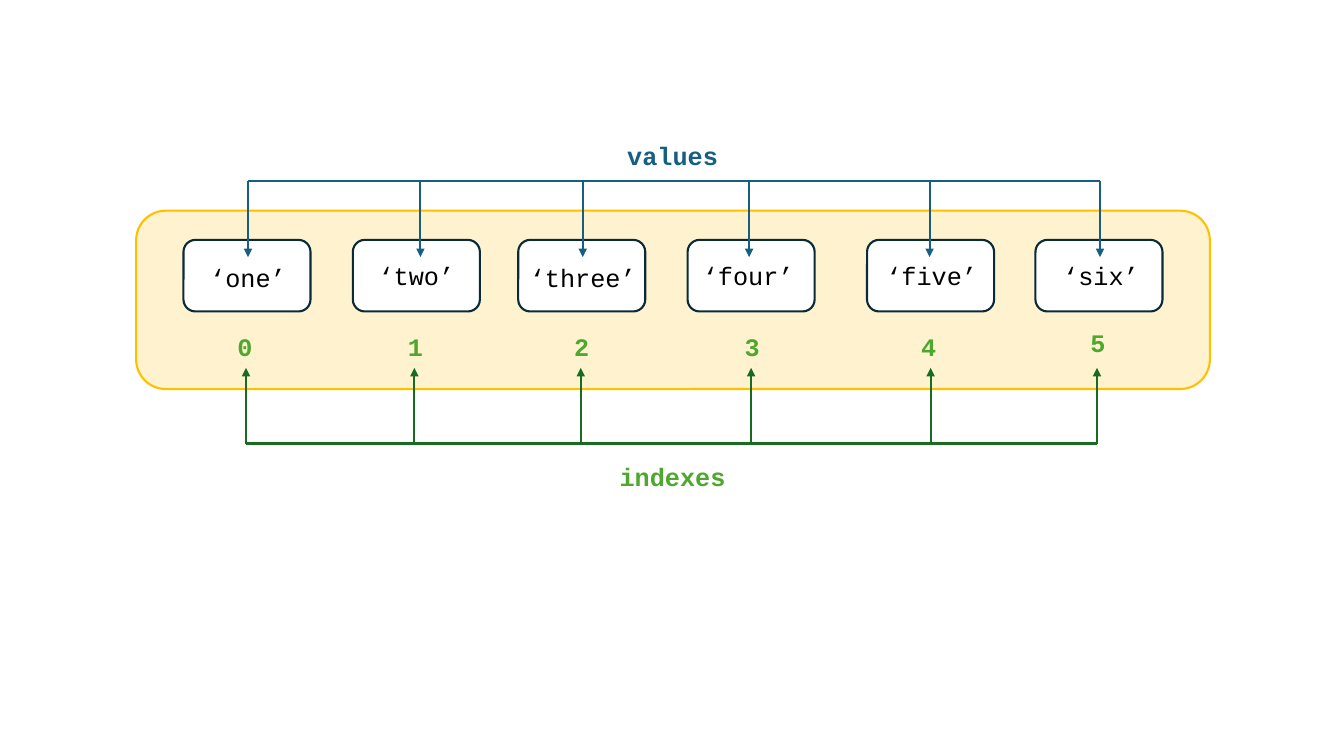
from dataclasses import dataclass

from lxml import etree
from pptx import Presentation
from pptx.dml.color import RGBColor
from pptx.enum import shapes, text
from pptx.oxml import ns
from pptx.slide import Slide
from pptx.util import Inches, Pt

COLORS = {
    "list_fill": "FFF2CE",
    "list_line": "FFC000",
    "item_fill": "FFFFFF",
    "item_line": "092A39",
    "item_text": "000000",
    "values": "156082",
    "indexes": "4EA72E",
    "index_line": "196B24",
}
FONT = "Courier New"
LABEL_WIDTH, LABEL_HEIGHT = 1.28, 0.4
ITEM_TOP, ITEM_WIDTH, ITEM_HEIGHT = 2.38, 1.26, 0.71
VALUE_BAR, VALUE_TIP = 1.8, 2.55
INDEX_BAR, INDEX_TIP = 4.4, 3.65
CAPTION_LEFT = 6.03


@dataclass(frozen=True)
class Item:
    value: str
    box_left: float
    value_left: float
    value_top: float
    value_arrow: float
    index_left: float
    index_top: float
    index_arrow: float


ITEMS = [
    Item("‘one’", 1.82, 1.82, 2.55, 2.46, 1.79, 3.24, 2.44),
    Item("‘two’", 3.5, 3.49, 2.53, 4.17, 3.48, 3.24, 4.11),
    Item("‘three’", 5.14, 5.14, 2.55, 5.78, 5.13, 3.24, 5.76),
    Item("‘four’", 6.82, 6.78, 2.53, 7.43, 6.82, 3.24, 7.45),
    Item("‘five’", 8.6, 8.6, 2.53, 9.22, 8.57, 3.24, 9.23),
    Item("‘six’", 10.27, 10.28, 2.53, 10.91, 10.25, 3.2, 10.88),
]


def color(name: str) -> RGBColor:
    return RGBColor.from_string(COLORS[name])


def add_box(slide: Slide, left: float, top: float, width: float, height: float,
            fill: str, line: str) -> None:
    shape = slide.shapes.add_shape(
        shapes.MSO_SHAPE.ROUNDED_RECTANGLE,
        Inches(left), Inches(top), Inches(width), Inches(height))
    shape.shadow.inherit = False
    shape.fill.solid()
    shape.fill.fore_color.rgb = color(fill)
    shape.line.color.rgb = color(line)
    shape.line.width = Pt(1.5)


def add_label(slide: Slide, content: str, left: float, top: float,
              color_name: str, bold: bool = True) -> None:
    label = slide.shapes.add_textbox(
        Inches(left), Inches(top), Inches(LABEL_WIDTH), Inches(LABEL_HEIGHT))
    frame = label.text_frame
    frame.word_wrap = True
    frame.auto_size = text.MSO_AUTO_SIZE.SHAPE_TO_FIT_TEXT
    paragraph = frame.paragraphs[0]
    paragraph.alignment = text.PP_ALIGN.CENTER
    run = paragraph.add_run()
    run.text = content
    run.font.name = FONT
    run.font.size = Pt(18)
    run.font.bold = bold
    run.font.color.rgb = color(color_name)


def add_line(slide: Slide, start: tuple[float, float], end: tuple[float, float],
             color_name: str, arrow: bool = False) -> None:
    connector = slide.shapes.add_connector(
        shapes.MSO_CONNECTOR.STRAIGHT, *map(Inches, start + end))
    connector.line.color.rgb = color(color_name)
    connector.line.width = Pt(1.5)
    properties = connector._element.spPr
    if arrow:
        etree.SubElement(properties.find(ns.qn("a:ln")), ns.qn("a:tailEnd"), type="triangle")
    etree.SubElement(properties, ns.qn("a:effectLst"))


def add_bracket(slide: Slide, arrows: list[float], bar: float, tip: float,
                color_name: str) -> None:
    add_line(slide, (arrows[0], bar), (arrows[-1], bar), color_name)
    for x in arrows:
        add_line(slide, (x, bar), (x, tip), color_name, arrow=True)


def main() -> None:
    presentation = Presentation()
    presentation.slide_width = Inches(13.33)
    presentation.slide_height = Inches(7.5)
    blank_layout = presentation.slide_layouts.get_by_name("Blank")
    slide = presentation.slides.add_slide(blank_layout)

    add_box(slide, 1.35, 2.09, 10.65, 1.77, "list_fill", "list_line")
    for index, item in enumerate(ITEMS):
        add_box(slide, item.box_left, ITEM_TOP, ITEM_WIDTH, ITEM_HEIGHT,
                "item_fill", "item_line")
        add_label(slide, item.value, item.value_left, item.value_top, "item_text", bold=False)
        add_label(slide, str(index), item.index_left, item.index_top, "indexes")

    add_bracket(slide, [item.value_arrow for item in ITEMS], VALUE_BAR, VALUE_TIP, "values")
    add_label(slide, "values", CAPTION_LEFT, 1.34, "values")
    add_bracket(slide, [item.index_arrow for item in ITEMS], INDEX_BAR, INDEX_TIP, "index_line")
    add_label(slide, "indexes", CAPTION_LEFT, 4.53, "indexes")

    presentation.save("out.pptx")


if __name__ == "__main__":
    main()
